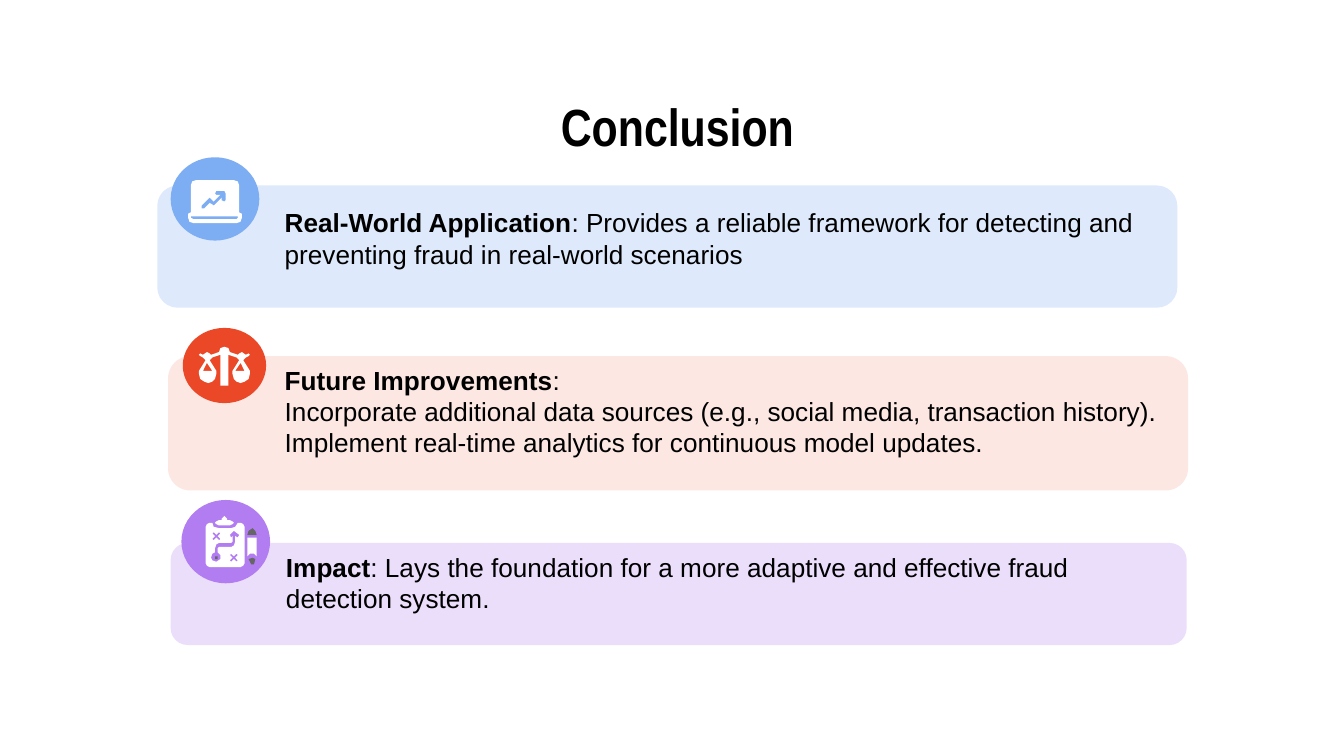
"""Build the conclusion slide: three tinted cards, each with a round icon badge."""
import pptx
import pptx.dml.color
import pptx.enum.shapes
import pptx.enum.text
import pptx.oxml
import pptx.oxml.ns
import pptx.util

Inches = pptx.util.Inches
RGBColor = pptx.dml.color.RGBColor
SHAPE = pptx.enum.shapes.MSO_SHAPE
BLUE = RGBColor(0x7D, 0xAD, 0xF2)
RED = RGBColor(0xEA, 0x48, 0x27)
PURPLE = RGBColor(0xB3, 0x7D, 0xF2)
WHITE = RGBColor(0xFF, 0xFF, 0xFF)
GREY = RGBColor(0x66, 0x66, 0x66)
BLACK = RGBColor(0, 0, 0)
HUNDREDTH = Inches(0.01)


def mirror(points, axis):
    return points + [(2 * axis - x, y) for x, y in reversed(points)]


def cross(cx, cy):
    arms = [(0, -1), (2, -3), (3, -2), (1, 0), (3, 2), (2, 3),
            (0, 1), (-2, 3), (-3, 2), (-1, 0), (-3, -2), (-2, -3)]
    return [(cx + x, cy + y) for x, y in arms]


def dot(cx, cy, r):
    d = round(r * 0.7)
    return [(cx, cy - r), (cx + d, cy - d), (cx + r, cy), (cx + d, cy + d),
            (cx, cy + r), (cx - d, cy + d), (cx - r, cy), (cx - d, cy - d)]


LAPTOP = [
    mirror([(146, 134), (143, 135), (142, 138), (142, 158), (140, 159),
            (140, 162), (141, 165), (144, 166)], 160),
    [(142, 161), (177, 161), (177, 162), (176, 163), (144, 163), (142, 162)],
    [(167, 142), (168, 144), (168, 149), (167, 150), (165, 149), (165, 147),
     (160, 152), (159, 153), (158, 152), (156, 151), (152, 155), (150, 155),
     (150, 153), (155, 148), (156, 147), (157, 148), (159, 150), (164, 145),
     (161, 145), (160, 144), (161, 142)],
]
SCALES = [
    mirror([(167, 258), (164, 259), (163, 262), (157, 264), (156, 263), (154, 262),
            (151, 264), (149, 263), (148, 264), (149, 265), (151, 266), (153, 268),
            (148, 276), (148, 278), (149, 282), (152, 284), (155, 285), (158, 284),
            (160, 282), (161, 278), (161, 276), (156, 268), (158, 266), (164, 264),
            (164, 287)], 167),
    [(154, 270), (158, 276), (151, 276)],
    [(179, 270), (182, 276), (175, 276)],
]
SCALES_KNOB = [dot(166, 268, 1)]
BOARD = [
    mirror([(158, 389), (156, 389), (154, 390), (153, 392), (153, 419), (154, 421),
            (156, 422)], 167.5)[::-1] + [(159, 392), (163, 393), (172, 393), (175, 392)],
    cross(161, 399),
    cross(174, 415),
    [(174, 395), (178, 398), (177, 400), (175, 399), (175, 403), (174, 406),
     (172, 407), (163, 407), (162, 408), (162, 411), (164, 413), (164, 416),
     (161, 418), (158, 417), (157, 415), (158, 412), (160, 411), (160, 408),
     (161, 405), (163, 404), (172, 404), (173, 403), (173, 399), (172, 400),
     (171, 398)],
]
CLIP = [mirror([(167, 384), (165, 386), (165, 387), (163, 387), (161, 388),
                (160, 389), (161, 390), (163, 391)], 167)]
PENCIL = [[(184, 400), (184, 414), (186, 412), (188, 412), (189, 412), (191, 414), (191, 400)]]
ERASER = [[(188, 393), (185, 395), (184, 398), (191, 398), (190, 395)]]
TIP = [[(188, 415), (185, 416), (187, 420), (189, 420), (190, 416)]]

CARDS = [
    dict(color=BLUE, alpha=25, bar=(1.17, 1.38, 7.59, 0.91), badge=(1.27, 1.17, 0.66, 0.62),
         box=(2.02, 1.49, 6.83, 0.57), icon=[(LAPTOP, WHITE)],
         text=[("Real-World Application", ": Provides a reliable framework for detecting "
                "and preventing fraud in real-world scenarios")]),
    dict(color=RED, alpha=13, bar=(1.25, 2.65, 7.59, 1), badge=(1.36, 2.44, 0.62, 0.56),
         box=(2.02, 2.66, 6.82, 0.81), icon=[(SCALES_KNOB, WHITE), (SCALES, WHITE)],
         text=[("Future Improvements", ":"),
               ("", "Incorporate additional data sources (e.g., social media, "
                "transaction history)."),
               ("", "Implement real-time analytics for continuous model updates.")]),
    dict(color=PURPLE, alpha=25, bar=(1.27, 4.04, 7.56, 0.76), badge=(1.35, 3.72, 0.66, 0.62),
         box=(2.03, 4.05, 6.63, 0.57),
         icon=[([dot(161, 415, 1)], GREY), (BOARD, WHITE), (CLIP, WHITE),
               (PENCIL, WHITE), (ERASER, GREY), (TIP, GREY)],
         text=[("Impact", ": Lays the foundation for a more adaptive and effective "
                "fraud detection system.")]),
]


def paint(sp, color, alpha=100):
    sp.shadow.inherit = False
    sp.line.fill.background()
    sp.fill.solid()
    sp.fill.fore_color.rgb = color
    if alpha < 100:
        clr = sp.fill._xPr.find(".//" + pptx.oxml.ns.qn("a:srgbClr"))
        clr.append(pptx.oxml.parse_xml(
            f'<a:alpha {pptx.oxml.ns.nsdecls("a")} val="{alpha * 1000}"/>'))


def add_preset(s, kind, at, color, alpha=100):
    paint(s.shapes.add_shape(kind, *map(Inches, at)), color, alpha)


def add_outline(s, contours, color):
    fb = s.shapes.build_freeform(*contours[0][0], scale=HUNDREDTH)
    for i, points in enumerate(contours):
        if i:
            fb.move_to(*points[0])
        fb.add_line_segments(points[1:], close=True)
    paint(fb.convert_to_shape(), color)


def style(r, size, font, bold):
    r.font.size = pptx.util.Pt(size)
    r.font.name = font
    r.font.bold = bold
    r.font.color.rgb = BLACK


def add_text(s, at, paragraphs):
    tf = s.shapes.add_textbox(*map(Inches, at)).text_frame
    tf.word_wrap = True
    tf.auto_size = pptx.enum.text.MSO_AUTO_SIZE.SHAPE_TO_FIT_TEXT
    for i, (lead, rest) in enumerate(paragraphs):
        p = tf.add_paragraph() if i else tf.paragraphs[0]
        for words, bold in ((lead, True), (rest, False)):
            if words:
                r = p.add_run()
                r.text = words
                style(r, 14, "Arial", bold)


def add_title(s, text):
    sp = s.shapes.title
    sp.left, sp.top, sp.width, sp.height = map(Inches, (0.54, 0.73, 9, 0.41))
    tf = sp.text_frame
    tf.text = text
    tf.auto_size = pptx.enum.text.MSO_AUTO_SIZE.NONE
    tf.vertical_anchor = pptx.enum.text.MSO_ANCHOR.MIDDLE
    tf.margin_left = tf.margin_right = tf.margin_top = tf.margin_bottom = Inches(0.1)
    p = tf.paragraphs[0]
    p.alignment = pptx.enum.text.PP_ALIGN.CENTER
    style(p.runs[0], 28, "Arial Narrow", True)


def main():
    prs = pptx.Presentation()
    prs.slide_width = Inches(10)
    prs.slide_height = prs.slide_width * 9 // 16
    s = prs.slides.add_slide(prs.slide_layouts[5])
    add_title(s, "Conclusion")
    for card in CARDS:
        add_preset(s, SHAPE.ROUNDED_RECTANGLE, card["bar"], card["color"], card["alpha"])
        add_preset(s, SHAPE.OVAL, card["badge"], card["color"])
        add_text(s, card["box"], card["text"])
        for contours, color in card["icon"]:
            add_outline(s, contours, color)
    prs.save("out.pptx")


if __name__ == "__main__":
    main()
